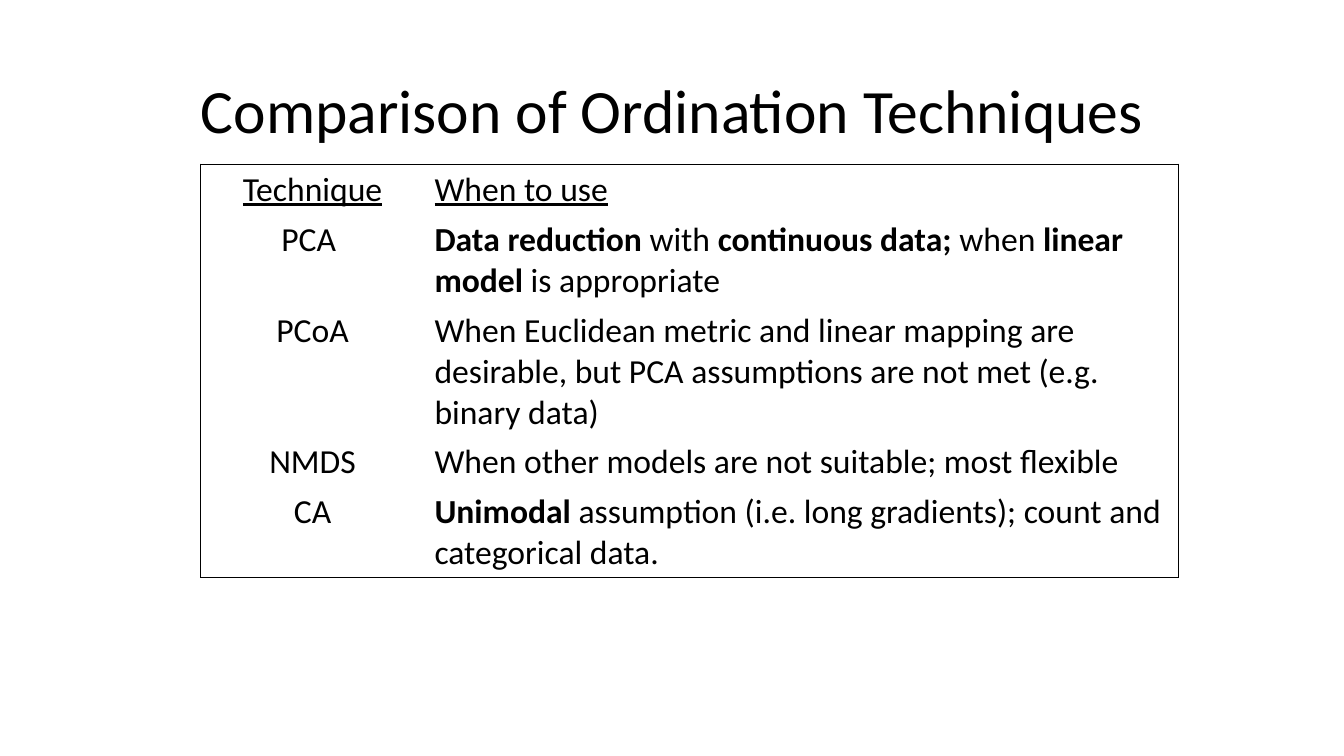
from lxml.etree import SubElement
from pptx import Presentation
from pptx.dml.color import RGBColor
from pptx.enum.text import MSO_ANCHOR, PP_ALIGN
from pptx.oxml.ns import qn
from pptx.util import Inches, Pt

TITLE = "Comparison of Ordination Techniques"
ROWS = [
    ("Technique", [("When to use", False)], 1),
    ("PCA ", [("Data reduction ", True), ("with ", False), ("continuous data; ", True),
              ("when ", False), ("linear model", True), (" is appropriate", False)], 2),
    ("PCoA", [("When Euclidean metric and linear mapping are desirable, "
               "but PCA assumptions are not met (e.g. binary data)", False)], 3),
    ("NMDS", [("When other models are not suitable; most flexible", False)], 1),
    ("CA", [("Unimodal", True),
            (" assumption (i.e. long gradients); count and categorical data.", False)], 2),
]
FONT = "Calibri"
BLACK = RGBColor(0, 0, 0)
SLIDE_SIZE = (13.33, 7.5)
TITLE_BOX = (0.92, 0.4, 11.5, 1.45)
TABLE_LEFT, TABLE_TOP = 1.99, 1.63
COLUMN_WIDTHS = (2.22, 7.48)
LINE_HEIGHT, CELL_PADDING = 0.4, 0.1


def style_font(paragraph, size):
    """Apply the slide's typeface and text colour."""
    paragraph.font.name = FONT
    paragraph.font.size = Pt(size)
    paragraph.font.color.rgb = BLACK


def draw_borders(cell, visible_sides):
    """Draw the named sides of a cell and clear the others."""
    properties = cell._tc.get_or_add_tcPr()
    for side in "LRTB":
        line = SubElement(properties, qn(f"a:ln{side}"), w=str(Pt(1)))
        if side in visible_sides:
            fill = SubElement(line, qn("a:solidFill"))
            SubElement(fill, qn("a:srgbClr"), val=str(BLACK))
        else:
            SubElement(line, qn("a:noFill"))


def add_title(slide):
    """Add the centred heading."""
    frame = slide.shapes.add_textbox(*map(Inches, TITLE_BOX)).text_frame
    frame.word_wrap = True
    frame.vertical_anchor = MSO_ANCHOR.MIDDLE
    paragraph = frame.paragraphs[0]
    paragraph.text = TITLE
    paragraph.alignment = PP_ALIGN.CENTER
    paragraph.line_spacing = 0.9
    style_font(paragraph, 44)


def add_techniques(slide):
    """Add the table of techniques inside a single outer frame."""
    heights = [CELL_PADDING + LINE_HEIGHT * lines for _, _, lines in ROWS]
    table = slide.shapes.add_table(
        len(ROWS), len(COLUMN_WIDTHS), Inches(TABLE_LEFT), Inches(TABLE_TOP),
        Inches(sum(COLUMN_WIDTHS)), Inches(sum(heights))).table
    table.first_row = table.horz_banding = False
    for column, width in zip(table.columns, COLUMN_WIDTHS):
        column.width = Inches(width)
    for row_index, (technique, usage, _) in enumerate(ROWS):
        table.rows[row_index].height = Inches(heights[row_index])
        edges = {0: "T", len(ROWS) - 1: "B"}.get(row_index, "")
        contents = (([(technique, False)], PP_ALIGN.CENTER, "L"),
                    (usage, PP_ALIGN.LEFT, "R"))
        for column_index, (runs, alignment, side) in enumerate(contents):
            cell = table.cell(row_index, column_index)
            draw_borders(cell, side + edges)
            cell.fill.background()
            paragraph = cell.text_frame.paragraphs[0]
            paragraph.alignment = alignment
            style_font(paragraph, 24)
            for text, bold in runs:
                run = paragraph.add_run()
                run.text = text
                run.font.name = FONT
                run.font.size = Pt(24)
                run.font.color.rgb = BLACK
                run.font.bold = bold
                run.font.underline = row_index == 0


def main():
    """Build and save the slide."""
    presentation = Presentation()
    presentation.slide_width, presentation.slide_height = map(Inches, SLIDE_SIZE)
    slide = presentation.slides.add_slide(presentation.slide_layouts[6])
    add_title(slide)
    add_techniques(slide)
    presentation.save("out.pptx")


if __name__ == "__main__":
    main()
